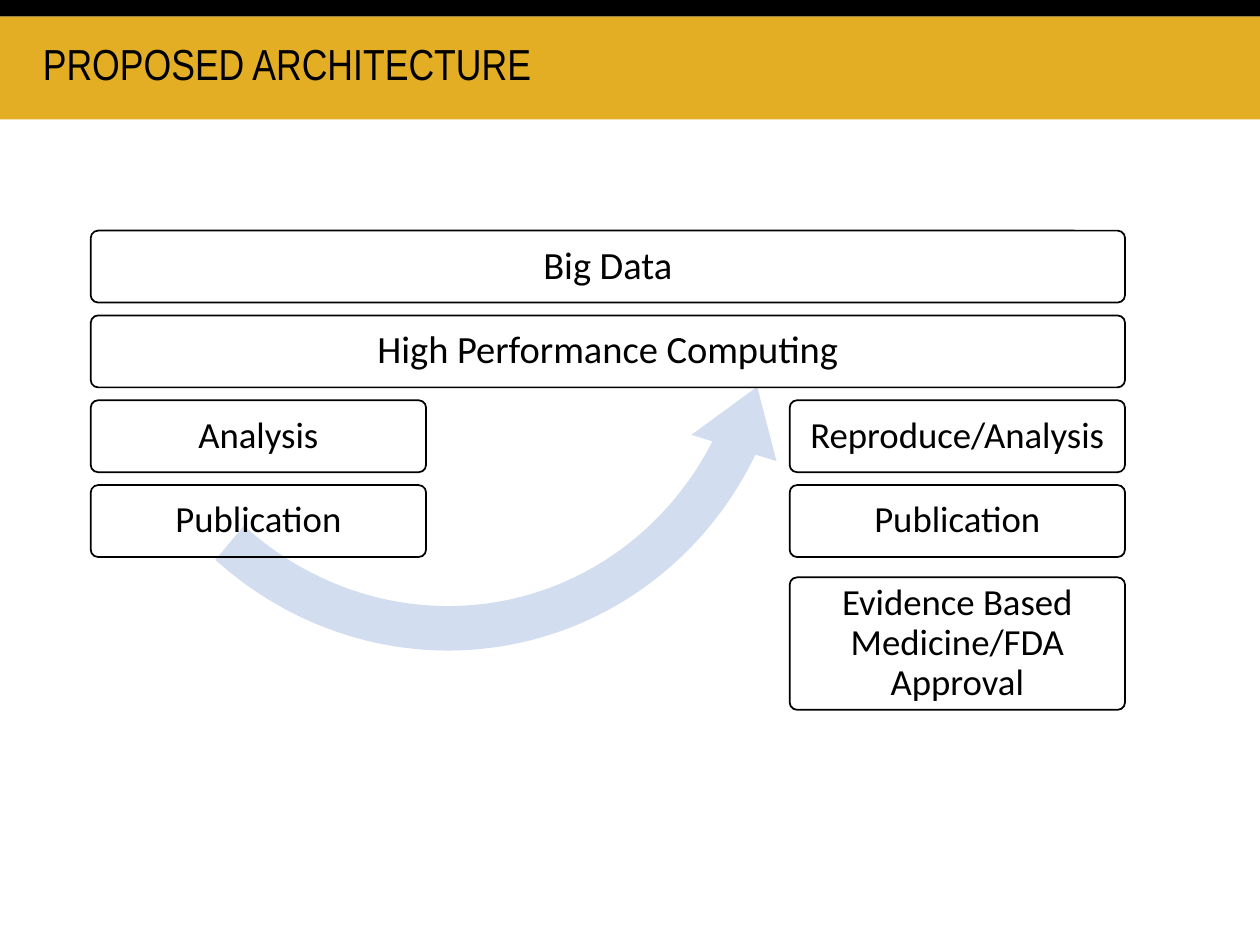
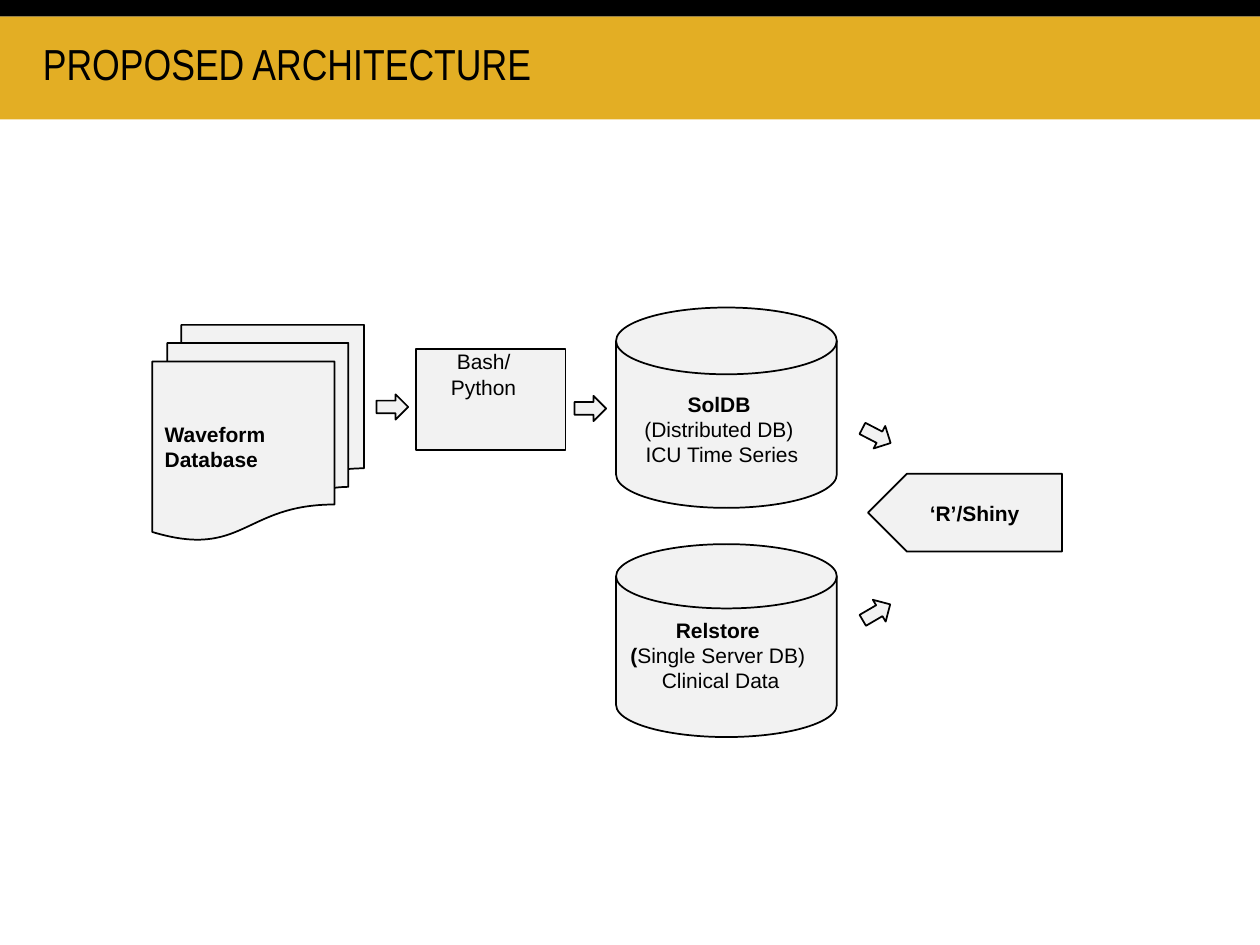
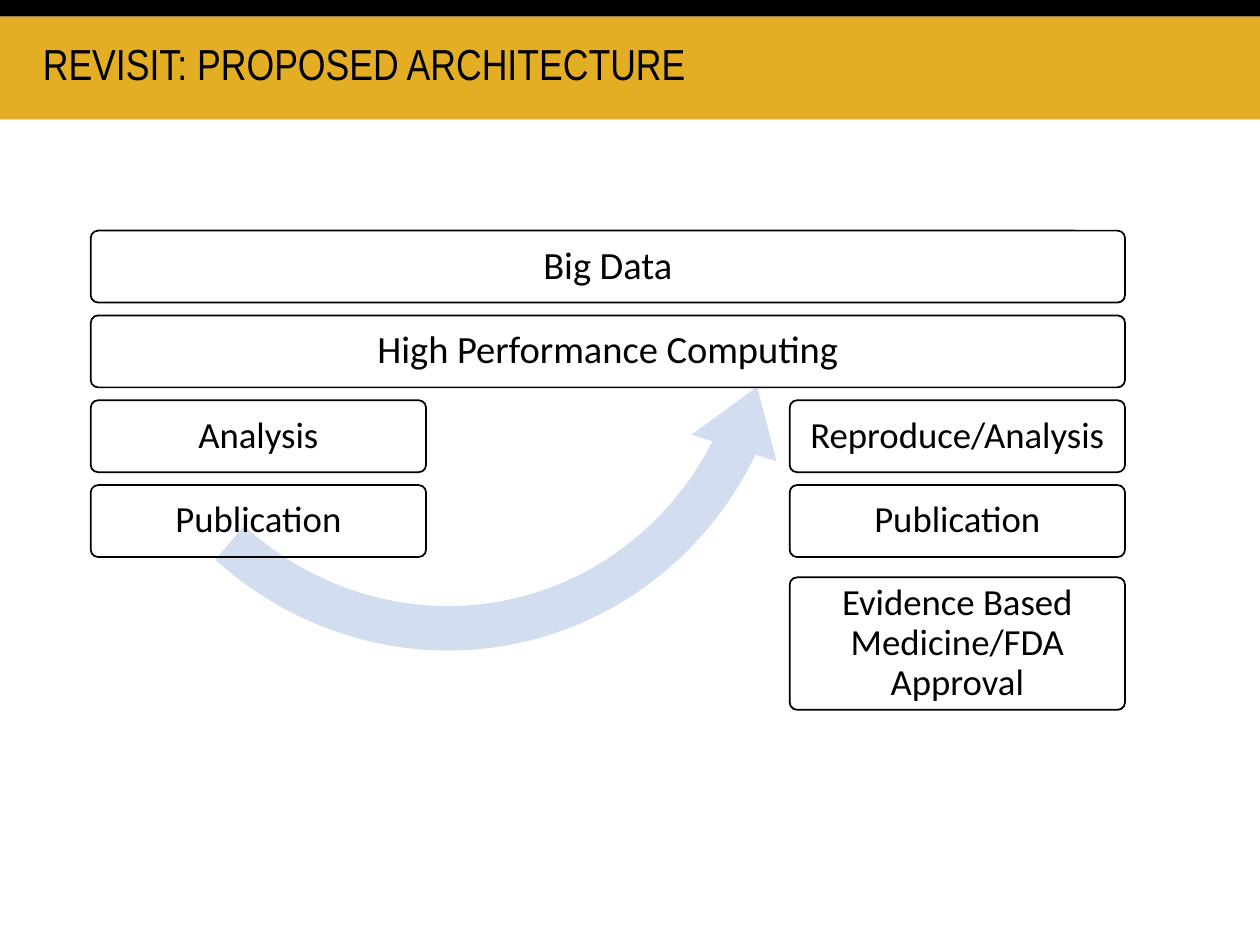
"""Build the three architecture slides."""
from dataclasses import dataclass

from pptx import Presentation
from pptx.dml.color import RGBColor as RGB
from pptx.enum.shapes import MSO_SHAPE as SHAPE
from pptx.enum.text import MSO_ANCHOR as ANCHOR, MSO_AUTO_SIZE as FIT, PP_ALIGN as ALIGN
from pptx.util import Cm, Pt


@dataclass(frozen=True)
class Theme:
    """Colours, fonts and type sizes of the deck."""
    black: RGB = RGB(0x00, 0x00, 0x00)
    gold: RGB = RGB(0xE3, 0xAE, 0x24)
    grey: RGB = RGB(0xF2, 0xF2, 0xF2)
    pale_blue: RGB = RGB(0xD2, 0xDE, 0xEF)
    title_font: str = "Arial Narrow"
    stack_font: str = "Calibri"
    flow_font: str = "Arial"
    title_size: float = 24.8
    wide_size: float = 22
    narrow_size: float = 21
    flow_size: float = 12


T = Theme()
WIDTH, HEIGHT = 25.4, 19.05
TOP_BAND = 0.33
STACK_LEFT, STACK_TOP, STACK_WIDTH = 1.83, 4.65, 20.85
COLUMN_WIDTH, ROW_HEIGHT, ROW_PITCH = 6.76, 1.45, 1.71


def place(left, top, width, height):
    """Return a rectangle given in centimetres as lengths."""
    return Cm(left), Cm(top), Cm(width), Cm(height)


def add_shape(sp, kind, box, fill=None, line=None):
    """Add a flat preset shape with optional fill and line colours."""
    s = sp.add_shape(kind, *place(*box))
    s.shadow.inherit = False
    if fill is None:
        s.fill.background()
    else:
        s.fill.solid()
        s.fill.fore_color.rgb = fill
    if line is None:
        s.line.fill.background()
    else:
        s.line.color.rgb = line
        s.line.width = Pt(1)
    return s


def format_text(tf, font, size, align, bold=False):
    """Format every run of a text frame alike."""
    tf.word_wrap = True
    for p in tf.paragraphs:
        p.alignment = align
        for r in p.runs:
            r.font.name, r.font.size, r.font.bold = font, Pt(size), bold
            r.font.color.rgb = T.black


def add_bands(slide, layout):
    """Draw the header bands and move them to the back of the layout."""
    bands = [
        ((0, TOP_BAND, WIDTH, 2.08), T.gold),
        ((0, 0, WIDTH, TOP_BAND), T.black),
    ]
    for i, (box, colour) in enumerate(bands):
        s = add_shape(slide.shapes, SHAPE.RECTANGLE, box, colour)
        s.name = f"Header band {i + 1}"
        s._element.nvSpPr.cNvPr.id = 101 + i
        layout.shapes._spTree.insert(2 + i, s._element)


def set_title(slide, text):
    """Place and format the slide title."""
    s = slide.shapes.title
    s.left, s.top, s.width, s.height = place(0.61, 0.74, 22.76, 1.9)
    tf = s.text_frame
    tf.text = text
    tf.auto_size = FIT.NONE
    tf.vertical_anchor = ANCHOR.TOP
    tf.paragraphs[0].line_spacing = 0.9
    format_text(tf, T.title_font, T.title_size, ALIGN.LEFT)


def add_stack_box(sp, text, row, left=STACK_LEFT, width=COLUMN_WIDTH,
                  size=T.narrow_size, drop=0, height=ROW_HEIGHT):
    """Add one rounded box on the row grid, lowered by drop."""
    top = STACK_TOP + row * ROW_PITCH + drop
    s = add_shape(sp, SHAPE.ROUNDED_RECTANGLE, (left, top, width, height), line=T.black)
    s.adjustments[0] = 0.15 / height
    tf = s.text_frame
    tf.text = text
    tf.vertical_anchor = ANCHOR.MIDDLE
    tf.margin_left = tf.margin_right = tf.margin_top = tf.margin_bottom = Cm(0.25)
    tf.paragraphs[0].line_spacing = 0.9
    format_text(tf, T.stack_font, size, ALIGN.CENTER)


def add_loop_arrow(sp):
    """Add the curved arrow from publication back to computing."""
    s = add_shape(sp, SHAPE.CIRCULAR_ARROW, (1.19, -1.63, 15.47, 14.94), T.pale_blue)
    for i, value in enumerate((0.06, 6.82, 137.68, 76.75, 0.06)):
        s.adjustments[i] = value
    s.rotation = 258
    s._element.spPr.xfrm.set("flipV", "1")


def add_stack(sp):
    """Add the layered architecture with its two columns."""
    add_loop_arrow(sp)
    for row, text in enumerate(("Big Data", "High Performance Computing")):
        add_stack_box(sp, text, row, width=STACK_WIDTH, size=T.wide_size)
    right = STACK_LEFT + STACK_WIDTH - COLUMN_WIDTH
    columns = {STACK_LEFT: ("Analysis", "Publication"),
               right: ("Reproduce/Analysis", "Publication")}
    for left, texts in columns.items():
        for row, text in enumerate(texts, start=2):
            add_stack_box(sp, text, row, left)
    add_stack_box(sp, "Evidence Based Medicine/FDA Approval", 4, right,
                  drop=0.15, height=2.67)


def add_flow_shape(sp, kind, box, text="", align=ALIGN.CENTER):
    """Add an outlined grey flow shape with a bold label."""
    s = add_shape(sp, kind, box, T.grey, T.black)
    if text:
        s.text_frame.text = text
        s.text_frame.vertical_anchor = ANCHOR.MIDDLE
        format_text(s.text_frame, T.flow_font, T.flow_size, align, bold=True)
    return s


def add_captioned(sp, kind, box, caption_box, head, body):
    """Group a flow shape with a caption whose head is bold."""
    group = sp.add_group_shape().shapes
    add_flow_shape(group, kind, box)
    tf = group.add_textbox(*place(*caption_box)).text_frame
    p = tf.paragraphs[0]
    p.text = head
    bold_count = len(p.runs)
    for i, line in enumerate(body):
        if i:
            p.add_line_break()
        p.add_run().text = line
    format_text(tf, T.flow_font, T.flow_size, ALIGN.CENTER)
    for r in p.runs[:bold_count]:
        r.font.bold = True


def add_flow(sp):
    """Add the data flow from waveform files to the front end."""
    add_flow_shape(sp, SHAPE.FLOWCHART_MULTIDOCUMENT, (3.07, 6.55, 4.27, 4.34),
                   "Waveform Database", ALIGN.JUSTIFY)
    front_end = add_flow_shape(sp, SHAPE.PENTAGON, (17.5, 9.55, 3.91, 1.57), "‘R’/Shiny")
    front_end._element.spPr.xfrm.set("flipH", "1")
    for left, top, angle in ((7.59, 7.95, 0), (11.58, 7.98, 0),
                             (17.35, 8.53, 27.3), (17.35, 12.09, 329.7)):
        add_flow_shape(sp, SHAPE.RIGHT_ARROW, (left, top, 0.64, 0.51)).rotation = angle
    add_captioned(sp, SHAPE.FLOWCHART_PROCESS, (8.38, 7.04, 3.02, 2.03),
                  (8.38, 6.91, 2.74, 2.59), "", ["Bash/ Python"])
    add_captioned(sp, SHAPE.FLOWCHART_MAGNETIC_DISK, (12.42, 6.2, 4.45, 4.04),
                  (11.61, 7.77, 5.89, 3.12), "SolDB \v",
                  ["(Distributed DB) ", "ICU Time Series"])
    add_captioned(sp, SHAPE.FLOWCHART_MAGNETIC_DISK, (12.42, 10.97, 4.45, 3.89),
                  (11.56, 12.32, 5.94, 2.9), "Relstore \v(",
                  ["Single Server DB) ", "Clinical Data"])


def main():
    """Build and save the deck."""
    prs = Presentation()
    prs.slide_width, prs.slide_height = Cm(WIDTH), Cm(HEIGHT)
    layout = prs.slide_layouts[5]
    pages = [
        ("PROPOSED ARCHITECTURE", add_stack),
        ("PROPOSED ARCHITECTURE", add_flow),
        ("REVISIT: PROPOSED ARCHITECTURE", add_stack),
    ]
    for i, (title, add_content) in enumerate(pages):
        slide = prs.slides.add_slide(layout)
        if i == 0:
            add_bands(slide, layout)
        set_title(slide, title)
        add_content(slide.shapes)
    prs.save("out.pptx")


if __name__ == "__main__":
    main()
